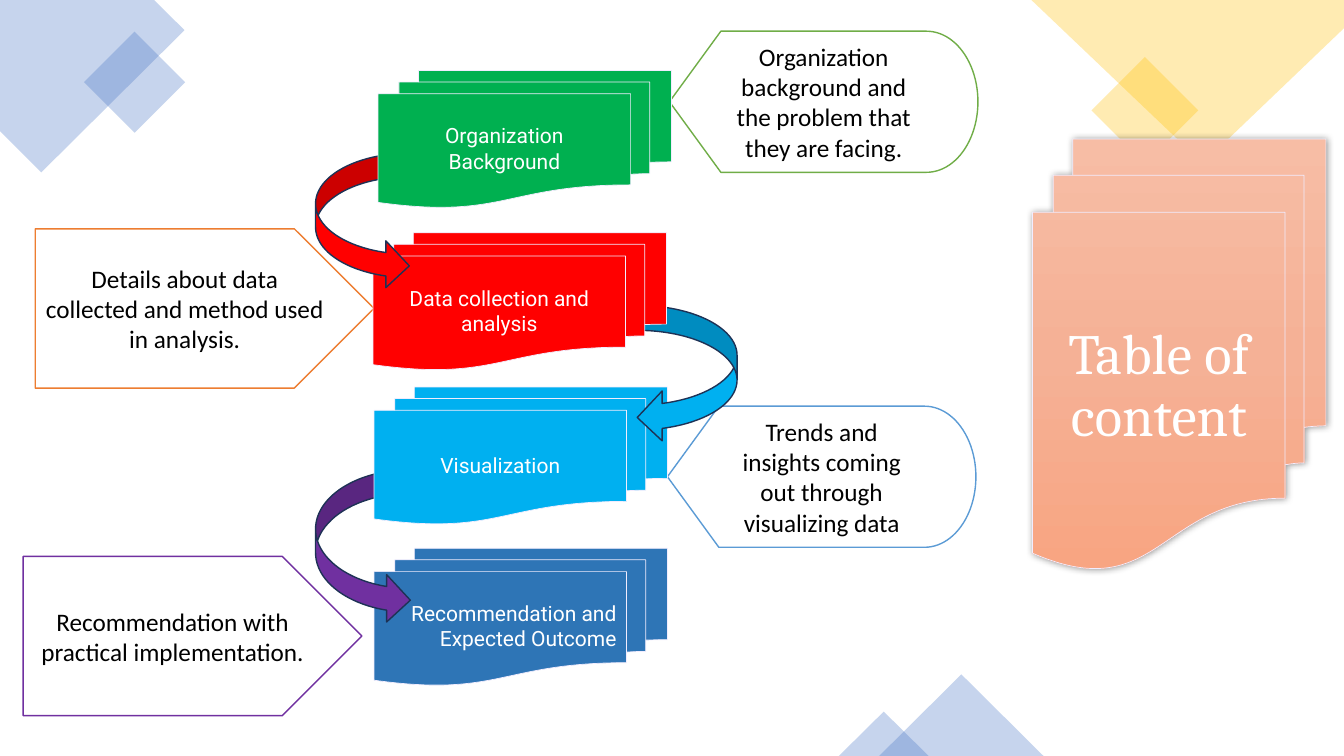
from copy import deepcopy
from dataclasses import dataclass

from lxml.etree import SubElement
from pptx import Presentation
from pptx.dml.color import RGBColor
from pptx.enum.shapes import MSO_SHAPE
from pptx.enum.text import MSO_ANCHOR, MSO_AUTO_SIZE, PP_ALIGN
from pptx.oxml.ns import qn
from pptx.util import Pt

TITLE = "Table of content"
STEPS = [
    dict(label="Organization Background", at=(375, 70), fill="00B050", align=PP_ALIGN.CENTER,
         note="Organization background and the problem that they are facing.",
         note_at=(664, 31), side="right", edge="70AD47"),
    dict(label="Data collection and analysis", at=(370, 231), fill="FF0000", align=PP_ALIGN.CENTER,
         note="Details about data collected and method used in analysis.",
         note_at=(35, 227), side="left", edge="ED7D31"),
    dict(label="Visualization", at=(371, 384), fill="00B0F0", align=PP_ALIGN.CENTER,
         note="Trends and insights coming out through visualizing data",
         note_at=(662, 403), side="right", edge="5B9BD5"),
    dict(label="Recommendation and Expected Outcome", at=(371, 544), fill="2E75B6", align=PP_ALIGN.RIGHT,
         note="Recommendation with practical implementation.",
         note_at=(23, 552), side="left", edge="7030A0"),
]
TURNS = [
    (MSO_SHAPE.CURVED_RIGHT_ARROW, (313, 152, 93, 135), "FF0000"),
    (MSO_SHAPE.CURVED_LEFT_ARROW, (632, 303, 99, 136), "00B0F0"),
    (MSO_SHAPE.CURVED_RIGHT_ARROW, (313, 466, 94, 153), "7030A0"),
]
NOTE_FORMS = {
    "right": (MSO_SHAPE.FLOWCHART_DISPLAY, (306, 140)),
    "left": (MSO_SHAPE.PENTAGON, (336, 158)),
}
STEP_SIZE = (291, 136)
TITLE_CARD = (1024, 138, 291, 427)
TITLE_AREA = (1024, 211, 251, 346)


@dataclass(frozen=True)
class Theme:
    blue: str = "4472C4"
    gold: str = "FFC000"
    white: str = "FFFFFF"
    black: str = "000000"
    card_edge: str = "F1ECFE"
    turn_edge: str = "1E3256"
    title_blend: tuple = ("F7BDA5", "F5B196", "F8A582")
    title_text: tuple = ("Cambria", 40.5, "FFFFFF")
    step_text: tuple = ("Roboto", 15, "FFFFFF")
    note_text: tuple = ("Calibri", 18, "000000")


THEME = Theme()
CORNERS = [
    ([(0, 0), (153, 0), (183, 30), (41, 171), (0, 130)], THEME.blue),
    ([(1023, 0), (1333, 0), (1333, 28), (1193, 162)], THEME.gold),
]
ACCENTS = [
    (MSO_SHAPE.RECTANGLE, (98, 46, 71, 71), 315, THEME.blue),
    (MSO_SHAPE.RECTANGLE, (1098, 72, 75, 75), 315, THEME.gold),
    (MSO_SHAPE.ISOSCELES_TRIANGLE, (872, 669, 163, 81), 0, THEME.blue),
    (MSO_SHAPE.ISOSCELES_TRIANGLE, (832, 706, 89, 44), 0, THEME.blue),
]
PX = 9144

deck = Presentation()
deck.slide_width, deck.slide_height = 1333 * PX, 750 * PX
slide = deck.slides.add_slide(deck.slide_layouts[5])


def paint(shape, fill, edge=None, weight=1):
    shape.shadow.inherit = False
    shape.fill.solid()
    shape.fill.fore_color.rgb = RGBColor.from_string(fill)
    if edge:
        shape.line.color.rgb = RGBColor.from_string(edge)
        shape.line.width = Pt(weight)
    else:
        shape.line.fill.background()


def fade(shape, percent):
    colour = shape._element.spPr.find(qn("a:solidFill"))[0]
    SubElement(colour, qn("a:alpha"), val=str(percent * 1000))


def place(form, box, fill, edge=None, weight=1):
    shape = slide.shapes.add_shape(form, *(v * PX for v in box))
    paint(shape, fill, edge, weight)
    return shape


def write(shape, text, style, align=PP_ALIGN.CENTER, after=0):
    frame = shape.text_frame
    frame.word_wrap = True
    frame.auto_size = MSO_AUTO_SIZE.NONE
    frame.vertical_anchor = MSO_ANCHOR.MIDDLE
    paragraph = frame.paragraphs[0]
    paragraph.alignment = align
    paragraph.space_after = Pt(after)
    run = paragraph.add_run()
    run.text = text
    name, size, colour = style
    run.font.name, run.font.size = name, Pt(size)
    run.font.color.rgb = RGBColor.from_string(colour)
    return paragraph


def blend(shape, colours):
    shape.fill.gradient()
    shape.fill.gradient_angle = 270
    stops = shape._element.spPr.find(".//" + qn("a:gsLst"))
    stops.insert(1, deepcopy(stops[0]))
    for index, (stop, colour) in enumerate(zip(shape.fill.gradient_stops, colours)):
        stop.color.rgb = RGBColor.from_string(colour)
        stop.position = index / 2


def cast_shadow(shape):
    effects = shape._element.spPr.find(qn("a:effectLst"))
    shadow = SubElement(effects, qn("a:outerShdw"), blurRad=str(Pt(5)), dist="0",
                        dir="21540000", algn="ctr", rotWithShape="0")
    colour = SubElement(shadow, qn("a:srgbClr"), val=THEME.black)
    SubElement(colour, qn("a:alpha"), val="40000")


for points, colour in CORNERS:
    outline = slide.shapes.build_freeform(*points[0], scale=PX)
    outline.add_line_segments(points[1:], close=True)
    corner = outline.convert_to_shape()
    paint(corner, colour)
    fade(corner, 30)

for form, box, turn, colour in ACCENTS:
    accent = place(form, box, colour)
    accent.rotation = turn
    fade(accent, 30)

for index, step in reversed(list(enumerate(STEPS))):
    if index < len(TURNS):
        form, box, colour = TURNS[index]
        place(form, box, colour, THEME.turn_edge)
    form, size = NOTE_FORMS[step["side"]]
    note = place(form, step["note_at"] + size, THEME.white, step["edge"])
    write(note, step["note"], THEME.note_text)
    card = place(MSO_SHAPE.FLOWCHART_MULTIDOCUMENT, step["at"] + STEP_SIZE, step["fill"], THEME.card_edge, 0.5)
    write(card, step["label"], THEME.step_text, step["align"], 6)

title_card = place(MSO_SHAPE.FLOWCHART_MULTIDOCUMENT, TITLE_CARD, THEME.title_blend[0], THEME.card_edge, 0.5)
blend(title_card, THEME.title_blend)
cast_shadow(title_card)

title = slide.shapes.title
title.left, title.top, title.width, title.height = (v * PX for v in TITLE_AREA)
write(title, TITLE, THEME.title_text, after=6).line_spacing = 0.9
slide.shapes._spTree.append(title._element)

deck.save("out.pptx")
